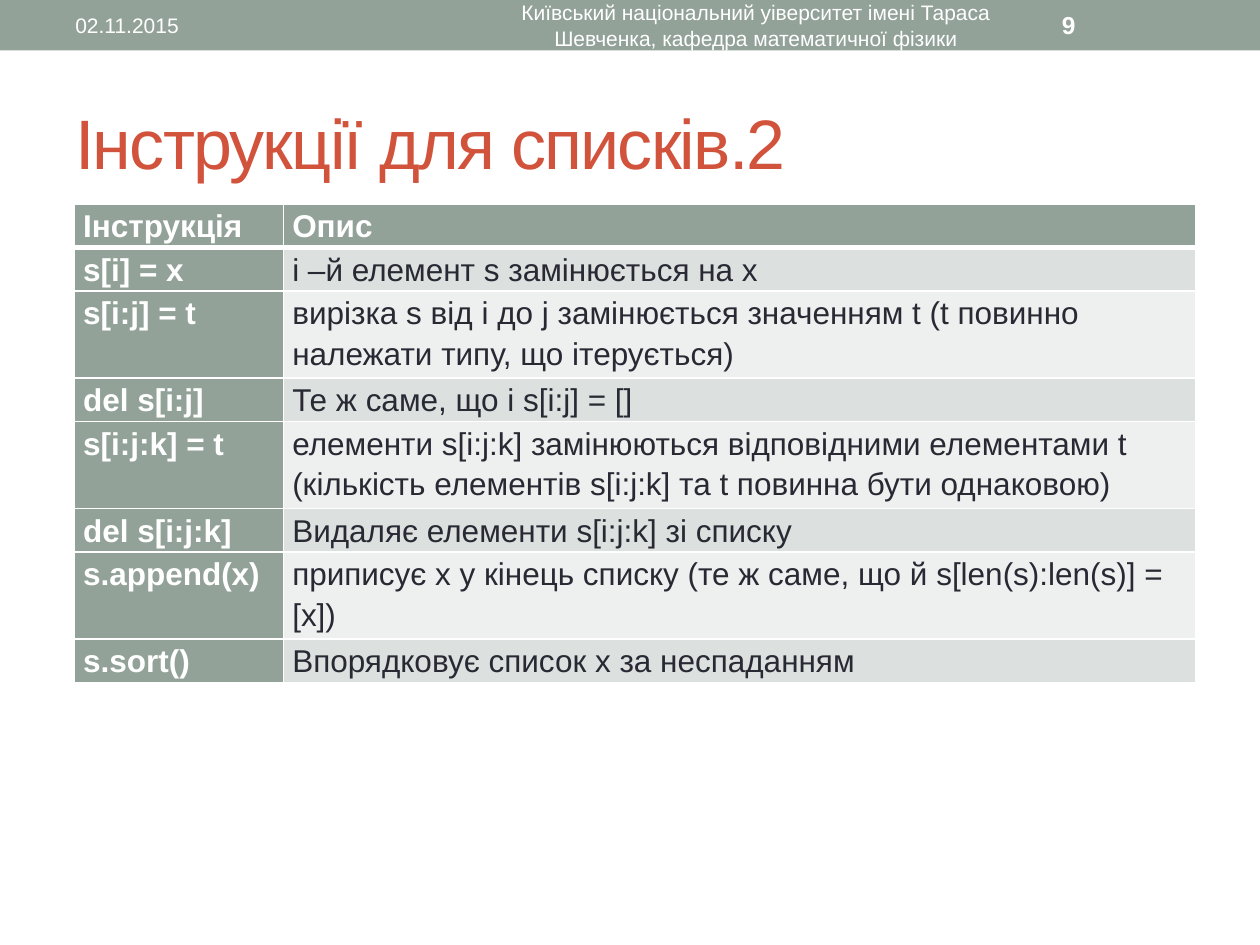
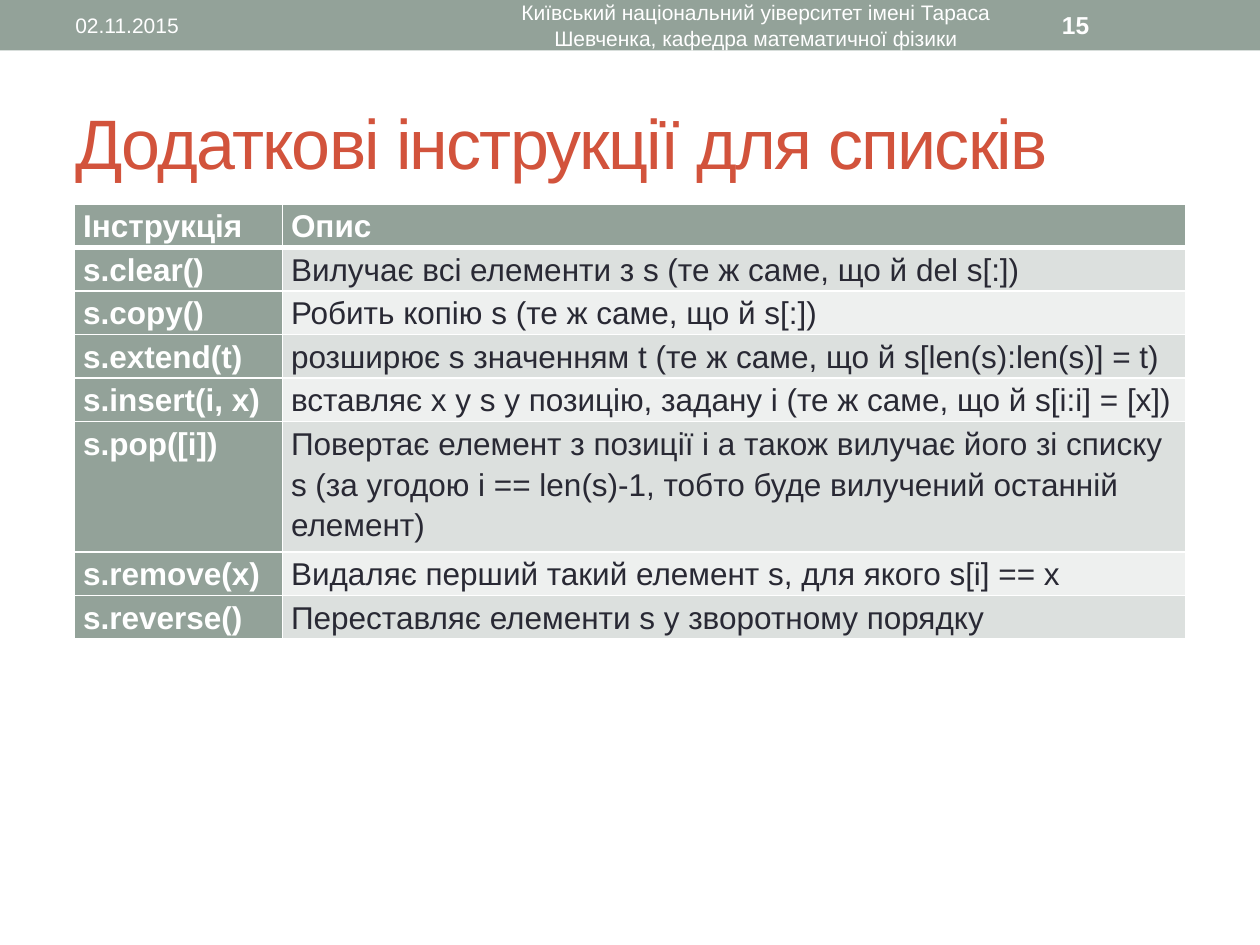
"""Build two slides of Python list instruction tables."""
from dataclasses import dataclass

from lxml import etree
from pptx import Presentation
from pptx.dml.color import RGBColor
from pptx.enum import shapes, text
from pptx.oxml import ns
from pptx.util import Inches, Pt

DATE = "02.11.2015"
DEPARTMENT = "Київський національний уіверситет імені Тараса Шевченка, кафедра математичної фізики"
HEADER = ("Інструкція", "Опис")
SLIDES = [
    {
        "title": "Інструкції для списків.2",
        "number": "9",
        "columns": (1.66, 7.24),
        "rows": [
            ("s[i] = x", "i –й елемент s замінюється на x"),
            ("s[i:j] = t", "вирізка s від i до j замінюється значенням t (t повинно належати типу, що ітерується)"),
            ("del s[i:j]", "Те ж саме, що і s[i:j] = []"),
            ("s[i:j:k] = t", "елементи s[i:j:k] замінюються відповідними елементами t "
                             "(кількість елементів s[i:j:k] та t повинна бути однаковою)"),
            ("del s[i:j:k]", "Видаляє елементи s[i:j:k] зі списку"),
            ("s.append(x)", "приписує x у кінець списку (те ж саме, що й s[len(s):len(s)] = [x])"),
            ("s.sort()", "Впорядковує список x за неспаданням"),
        ],
    },
    {
        "title": "Додаткові інструкції для списків",
        "number": "15",
        "columns": (1.65, 7.17),
        "rows": [
            ("s.clear()", "Вилучає всі елементи з s (те ж саме, що й del s[:])"),
            ("s.copy()", "Робить копію s (те ж саме, що й s[:])"),
            ("s.extend(t)", "розширює s значенням t (те ж саме, що й s[len(s):len(s)] = t)"),
            ("s.insert(i, x)", "вставляє x у s у позицію, задану i (те ж саме, що й s[i:i] = [x])"),
            ("s.pop([i])", "Повертає елемент з позиції i а також вилучає його зі списку s "
                           "(за угодою i == len(s)-1, тобто буде вилучений останній елемент)"),
            ("s.remove(x)", "Видаляє перший такий елемент s, для якого s[i] == x"),
            ("s.reverse()", "Переставляє елементи s у зворотному порядку"),
        ],
    },
]


@dataclass(frozen=True)
class Theme:
    font: str = "Arial"
    white: str = "FFFFFF"
    sage: str = "93A299"
    red: str = "D2533C"
    ink: str = "292934"
    bands: tuple = ("DCE0DE", "EEF0EF")
    title_size: int = 40
    table_size: int = 18
    footer_size: int = 12
    number_size: int = 14


THEME = Theme()
TABLE_LEFT, TABLE_TOP, ROW_HEIGHT = 0.59, 1.62, 0.32


def apply(target, values):
    for name, value in values.items():
        setattr(target, name, value)


def write(paragraph, words, size, color, bold=False):
    run = paragraph.add_run()
    run.text = words
    apply(run.font, {"name": THEME.font, "size": Pt(size), "bold": bold})
    run.font.color.rgb = RGBColor.from_string(color)
    return run


def add_text(slide, box, words, size, color, bold=False, alignment=text.PP_ALIGN.LEFT):
    frame = slide.shapes.add_textbox(*map(Inches, box)).text_frame
    apply(frame, {"word_wrap": True, "vertical_anchor": text.MSO_ANCHOR.MIDDLE})
    paragraph = frame.paragraphs[0]
    paragraph.alignment = alignment
    return write(paragraph, words, size, color, bold)


def add_band(slide, width):
    band = slide.shapes.add_shape(shapes.MSO_SHAPE.RECTANGLE, 0, 0, width, Inches(0.4))
    band.shadow.inherit = False
    band.fill.solid()
    band.fill.fore_color.rgb = RGBColor.from_string(THEME.sage)
    band.line.fill.background()


def add_borders(cell, widths):
    properties = cell._tc.get_or_add_tcPr()
    for index, (side, width) in enumerate(widths.items()):
        line = etree.Element(ns.qn(f"a:ln{side}"), w=str(Pt(width)))
        fill = etree.SubElement(line, ns.qn("a:solidFill"))
        etree.SubElement(fill, ns.qn("a:srgbClr"), val=THEME.white)
        properties.insert(index, line)


def format_cell(cell, words, row, column):
    is_heading = row == 0 or column == 0
    apply(cell, {
        "margin_left": Inches(0.07), "margin_right": Inches(0.07),
        "margin_top": 0, "margin_bottom": 0,
    })
    cell.fill.solid()
    color = THEME.sage if is_heading else THEME.bands[(row - 1) % 2]
    cell.fill.fore_color.rgb = RGBColor.from_string(color)
    paragraph = cell.text_frame.paragraphs[0]
    paragraph.line_spacing = 1.15
    write(paragraph, words, THEME.table_size, THEME.white if is_heading else THEME.ink, is_heading)
    add_borders(cell, {"L": 1, "R": 1, "T": 3 if row == 1 else 1, "B": 3 if row == 0 else 1})


def add_instructions(slide, columns, rows):
    lines = [HEADER, *rows]
    box = (TABLE_LEFT, TABLE_TOP, sum(columns), ROW_HEIGHT * len(lines))
    table = slide.shapes.add_table(len(lines), len(columns), *map(Inches, box)).table
    apply(table, {"first_col": True, "horz_banding": False})
    for column, width in zip(table.columns, columns):
        column.width = Inches(width)
    for row, line in enumerate(lines):
        table.rows[row].height = Inches(ROW_HEIGHT)
        for column, words in enumerate(line):
            format_cell(table.cell(row, column), words, row, column)


def add_slide(presentation, content):
    slide = presentation.slides.add_slide(presentation.slide_layouts[6])
    add_band(slide, presentation.slide_width)
    title = add_text(slide, (0.5, 0.58, 9, 1.08), content["title"], THEME.title_size, THEME.red)
    title.font._element.set("spc", "-100")
    add_instructions(slide, content["columns"], content["rows"])
    add_text(slide, (0.5, 0.02, 3.17, 0.36), DATE, THEME.footer_size, THEME.white)
    add_text(slide, (3.75, 0.02, 4.5, 0.36), DEPARTMENT, THEME.footer_size, THEME.white,
             alignment=text.PP_ALIGN.CENTER)
    add_text(slide, (8.33, 0.02, 1.17, 0.36), content["number"], THEME.number_size, THEME.white, bold=True)


def main():
    presentation = Presentation()
    apply(presentation, {"slide_width": Inches(10), "slide_height": Inches(7.5)})
    for content in SLIDES:
        add_slide(presentation, content)
    presentation.save("out.pptx")


if __name__ == "__main__":
    main()
